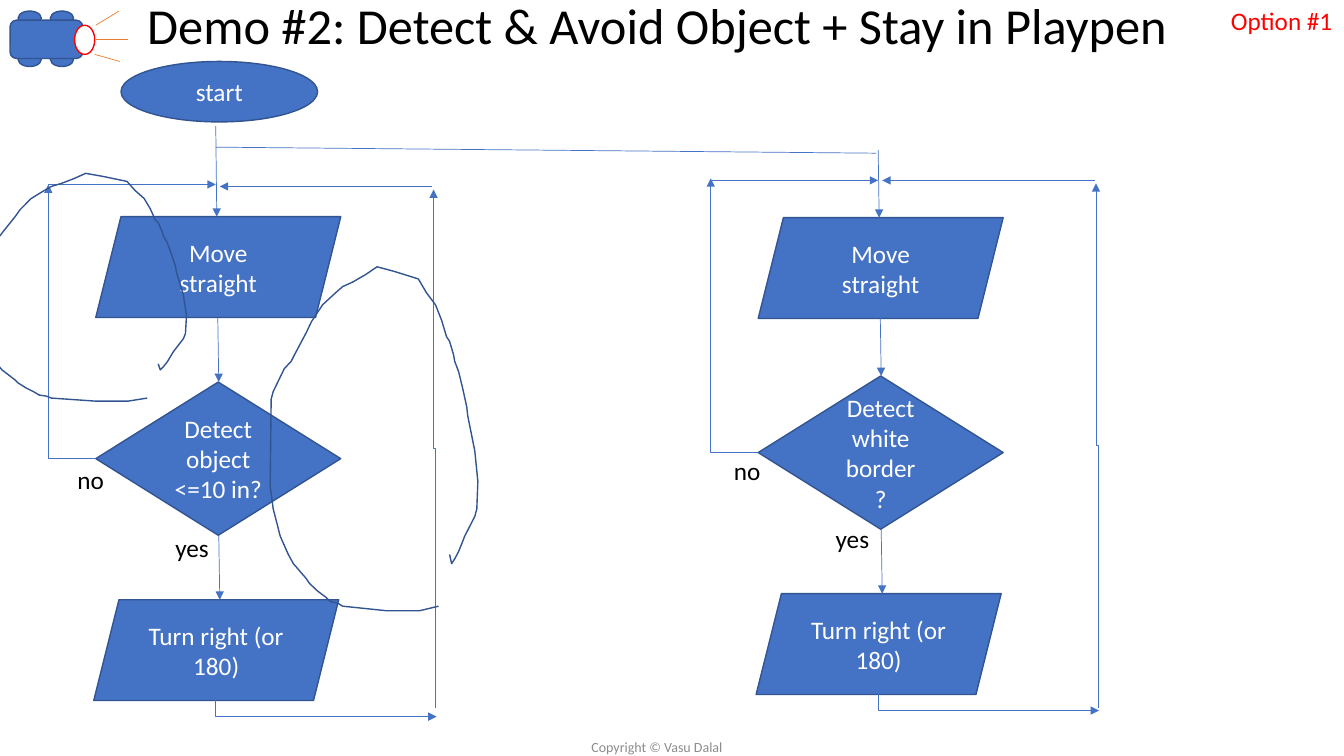
from collections import namedtuple

from lxml import etree
from pptx import Presentation
from pptx.dml.color import RGBColor
from pptx.enum.shapes import MSO_CONNECTOR, MSO_SHAPE
from pptx.enum.text import MSO_ANCHOR, MSO_AUTO_SIZE, PP_ALIGN
from pptx.oxml.ns import qn
from pptx.util import Pt

PX = 9144  # EMU in one px, at 100 px to the inch
STRAIGHT, ELBOW = MSO_CONNECTOR.STRAIGHT, MSO_CONNECTOR.ELBOW
OVAL, ROUNDED = MSO_SHAPE.OVAL, MSO_SHAPE.ROUNDED_RECTANGLE
ACTION, DECISION = MSO_SHAPE.PARALLELOGRAM, MSO_SHAPE.DIAMOND
LEFT, CENTER = PP_ALIGN.LEFT, PP_ALIGN.CENTER
MIDDLE, TOP = MSO_ANCHOR.MIDDLE, MSO_ANCHOR.TOP


class Theme:
    font = "Calibri"
    title_size, body_size, footer_size = Pt(36), Pt(18), Pt(10)
    outline_width, arrow_width = Pt(1), Pt(0.5)
    blue = RGBColor.from_string("4472C4")
    outline = RGBColor.from_string("325491")
    orange = RGBColor.from_string("ED7D31")
    red = RGBColor.from_string("FF0000")
    gray = RGBColor.from_string("8C8C8C")
    black = RGBColor.from_string("000000")
    white = RGBColor.from_string("FFFFFF")


Branch = namedtuple(
    "Branch", "dx dy entry_top move_top merge_y return_y no_at yes_at question")
BRANCHES = [
    Branch(0, 0, 125, 215, 183, 185, (67, 456), (164, 523),
           "Detect object\n<=10 in?"),
    Branch(657, -6, 149, 216, 179, 179, (718, 447), (819, 514),
           "Detect white border\n?"),
]
RISER_BOTTOM = 702

# One hand-drawn loop, used at two places and heights
LOOP_POINTS = [
    (146, 395), (127, 398), (115, 398), (95, 398), (51, 395), (46, 393),
    (39, 392), (34, 389), (26, 385), (18, 380), (15, 377), (2, 367),
    (-3, 361), (-11, 349), (-16, 336), (-18, 331), (-21, 316), (-20, 259),
    (-18, 254), (-7, 239), (0, 234), (3, 230), (15, 215), (20, 208),
    (23, 205), (31, 197), (44, 189), (51, 185), (61, 182), (74, 177),
    (85, 172), (102, 175), (126, 180), (134, 189), (143, 197), (149, 207),
    (154, 218), (157, 221), (161, 230), (162, 234), (166, 241), (170, 252),
    (174, 264), (175, 270), (182, 293), (185, 313), (184, 331), (182, 336),
    (172, 349), (166, 359), (162, 364), (159, 367), (157, 361),
]

presentation = Presentation()
presentation.slide_width = 1333 * PX
presentation.slide_height = 750 * PX
slide = presentation.slides.add_slide(presentation.slide_layouts[5])
shapes = slide.shapes


def add_block(kind, box, text="", fill=Theme.blue, outline=Theme.outline):
    shape = shapes.add_shape(kind, *[value * PX for value in box])
    shape.shadow.inherit = False
    shape.fill.solid()
    shape.fill.fore_color.rgb = fill
    shape.line.color.rgb = outline
    shape.line.width = Theme.outline_width
    if text:
        shape.text_frame.text = text
        shape.text_frame.vertical_anchor = MIDDLE
        for paragraph in shape.text_frame.paragraphs:
            paragraph.alignment = CENTER
            paragraph.font.name = Theme.font
            paragraph.font.size = Theme.body_size
            paragraph.font.color.rgb = Theme.white


def connect(start, end, kind=STRAIGHT, arrow="tailEnd", color=Theme.blue,
            preset=None, degrees=0):
    """Join two points; arrow is tailEnd (at end), headEnd (at start) or None."""
    connector = shapes.add_connector(
        kind, *[value * PX for value in (*start, *end)])
    connector.line.color.rgb = color
    connector.line.width = Theme.arrow_width
    properties = connector._element.spPr
    if preset:
        properties.find(qn("a:prstGeom")).set("prst", preset)
    if degrees:
        properties.find(qn("a:xfrm")).set("rot", str(degrees * 60000))
    if arrow:
        etree.SubElement(properties.find(qn("a:ln")), qn("a:" + arrow),
                         type="triangle")
    etree.SubElement(properties, qn("a:effectLst"))


# Title
title = shapes.title
title.left, title.top = -169 * PX, -45 * PX
title.width, title.height = 1642 * PX, 145 * PX
title.text_frame.text = "Demo #2: Detect & Avoid Object + Stay in Playpen"
title.text_frame.vertical_anchor = MIDDLE
heading = title.text_frame.paragraphs[0]
heading.alignment = CENTER
heading.line_spacing = 0.9
heading.font.name = Theme.font
heading.font.size = Theme.title_size
heading.font.color.rgb = Theme.black

# Flowchart
add_block(OVAL, (120, 61, 195, 60), "start")
connect((214, 146), (869, 152), arrow=None)

for branch in BRANCHES:
    dx, dy = branch.dx, branch.dy
    add_block(ACTION, (95 + dx, branch.move_top, 243, 100), "Move\nstraight")
    add_block(DECISION, (95 + dx, 379 + dy, 243, 152), branch.question)
    add_block(ACTION, (93 + dx, 595 + dy, 243, 100), "Turn right (or 180)")

    connect((214 + dx, branch.entry_top), (215 + dx, branch.move_top))
    connect((216 + dx, 315 + dy), (217 + dx, 379 + dy))
    connect((217 + dx, 531 + dy), (218 + dx, 595 + dy))

    connect((95 + dx, 455 + dy), (48 + dx, 183 + dy), ELBOW,
            preset="bentConnector2")
    connect((48 + dx, branch.merge_y), (214 + dx, branch.merge_y), ELBOW)
    connect((433 + dx, 711 + dy), (214 + dx, 695 + dy), ELBOW,
            arrow="headEnd", preset="bentConnector2")

    # The riser is laid flat around its centre and then turned upright
    riser_top = branch.return_y + 3
    middle = (RISER_BOTTOM + riser_top) // 2
    half = (RISER_BOTTOM - riser_top) // 2
    connect((431 + dx - half, middle + 1), (431 + dx + half, middle - 1),
            ELBOW, degrees=270)
    connect((429 + dx, branch.return_y), (218 + dx, branch.return_y), ELBOW)

# Hand-drawn loops
for origin_x, origin_y, stretch in [(0, 0, 1), (289, 5, 1.51)]:
    builder = shapes.build_freeform(*LOOP_POINTS[0], scale=(PX, PX * stretch))
    builder.add_line_segments(LOOP_POINTS[1:], close=False)
    loop = builder.convert_to_shape(origin_x * PX, origin_y * PX)
    loop.shadow.inherit = False
    loop.fill.background()
    loop.line.color.rgb = Theme.outline
    loop.line.width = Theme.outline_width

# Robot car with sensor beams
for wheel_top in (52, 11):
    for wheel_left in (18, 50):
        add_block(OVAL, (wheel_left, wheel_top, 23, 14))
add_block(ROUNDED, (10, 20, 72, 38))
add_block(OVAL, (74, 25, 20, 29), fill=Theme.white, outline=Theme.red)
for beam_start, beam_end in [((95, 25), (118, 11)), ((95, 39), (127, 39)),
                             ((94, 54), (119, 61))]:
    connect(beam_start, beam_end, arrow=None, color=Theme.orange)

# Free-standing text
labels = [
    ("Copyright © Vasu Dalal", (451, 731, 401, 19), Theme.footer_size,
     Theme.gray, CENTER, MIDDLE, True),
    ("Option #1", (1211, 0, 122, 40), Theme.body_size, Theme.red, LEFT, TOP,
     False),
]
for branch in BRANCHES:
    labels += [
        ("no", (*branch.no_at, 47, 40), Theme.body_size, Theme.black, LEFT,
         TOP, False),
        ("yes", (*branch.yes_at, 66, 40), Theme.body_size, Theme.black, LEFT,
         TOP, True),
    ]
for text, box, size, color, alignment, anchor, wrap in labels:
    frame = shapes.add_textbox(*[value * PX for value in box]).text_frame
    frame.text = text
    frame.word_wrap = wrap
    frame.auto_size = MSO_AUTO_SIZE.NONE
    frame.vertical_anchor = anchor
    paragraph = frame.paragraphs[0]
    paragraph.alignment = alignment
    paragraph.font.name = Theme.font
    paragraph.font.size = size
    paragraph.font.color.rgb = color

presentation.save("out.pptx")
